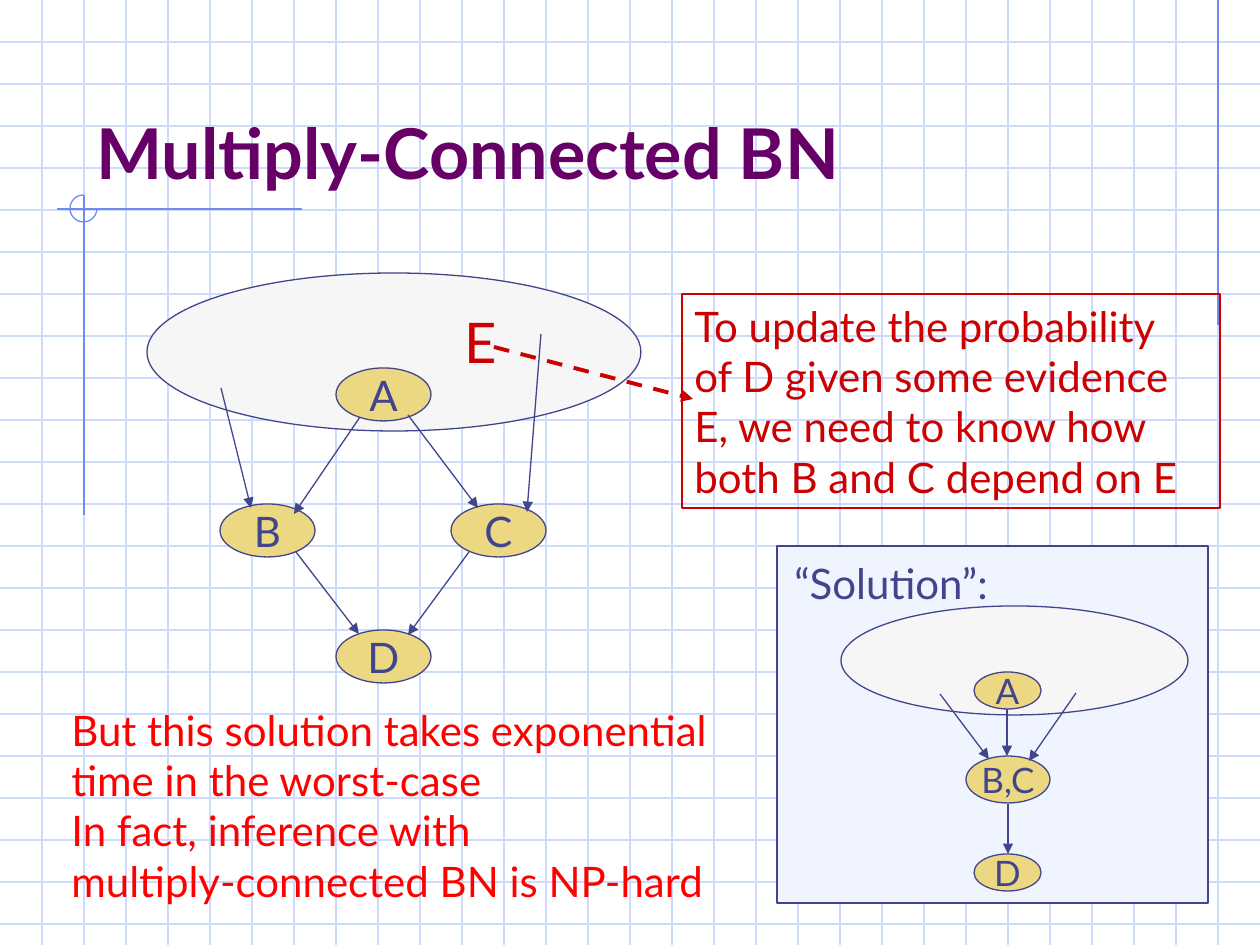
from lxml import etree
from pptx import Presentation
from pptx.dml.color import RGBColor
from pptx.enum.dml import MSO_LINE
from pptx.enum.shapes import MSO_CONNECTOR, MSO_SHAPE
from pptx.enum.text import MSO_ANCHOR, PP_ALIGN
from pptx.oxml.ns import qn
from pptx.util import Emu, Pt

RECT, OVAL, ARC = MSO_SHAPE.RECTANGLE, MSO_SHAPE.OVAL, MSO_SHAPE.ARC
STRAIGHT, DASH = MSO_CONNECTOR.STRAIGHT, MSO_LINE.DASH
TOP, MIDDLE, BOTTOM = MSO_ANCHOR.TOP, MSO_ANCHOR.MIDDLE, MSO_ANCHOR.BOTTOM
LEFT, CENTER = PP_ALIGN.LEFT, PP_ALIGN.CENTER

PX = 914400 / 126
WIDTH, HEIGHT, CELL = 1260, 945, 42
INK, GRID, ACCENT = "40458C", "CFDBFD", "6F89F7"
RED, BRIGHT_RED, PURPLE = "CC0000", "FF0000", "660066"
NODE, CLOUD, PANEL = "ECD882", "F6F6F6", "F0F4FE"

prs = Presentation()
prs.slide_width, prs.slide_height = Emu(round(WIDTH * PX)), Emu(round(HEIGHT * PX))
slide = prs.slides.add_slide(prs.slide_layouts[6])


def add_box(box, preset=None, fill=None, line=None, lines=(), size=24, color=INK,
            bold=False, align=LEFT, anchor=TOP, inset=True):
    """Add a preset shape, or a text box if no preset is given; box is in px."""
    place = [Emu(round(v * PX)) for v in box]
    if preset is None:
        shape = slide.shapes.add_textbox(*place)
    else:
        shape = slide.shapes.add_shape(preset, *place)
        shape.shadow.inherit = False
        shape.fill.background()
        if fill:
            shape.fill.solid()
            shape.fill.fore_color.rgb = RGBColor.from_string(fill)
        shape.line.color.rgb = RGBColor.from_string(line)
        shape.line.width = Pt(0.75)
    frame = shape.text_frame
    frame_format = {"word_wrap": inset, "vertical_anchor": anchor}
    if not inset:
        frame_format.update(margin_left=0, margin_right=0, margin_top=0, margin_bottom=0)
    for key, value in frame_format.items():
        setattr(frame, key, value)
    font_format = {"name": "Lato", "size": Pt(size), "bold": bold}
    frame.text = "\n".join(lines)
    for paragraph in frame.paragraphs:
        paragraph.alignment = align
        for run in paragraph.runs:
            for key, value in font_format.items():
                setattr(run.font, key, value)
            run.font.color.rgb = RGBColor.from_string(color)
    return shape


def add_line(ends, color=INK, width=0.75, arrow=False, dash=None):
    """Add a straight line; ends is x1, y1, x2, y2 in px."""
    line = slide.shapes.add_connector(STRAIGHT, *[Emu(round(v * PX)) for v in ends])
    line.line.color.rgb = RGBColor.from_string(color)
    line.line.width = Pt(width)
    if dash:
        line.line.dash_style = dash
    if arrow:
        etree.SubElement(line.line._get_or_add_ln(), qn("a:tailEnd"), type="triangle")
    etree.SubElement(line._element.spPr, qn("a:effectLst"))


# Background grid
for y in range(CELL, HEIGHT, CELL):
    add_line((0, y, WIDTH, y), GRID)
for x in range(CELL, WIDTH, CELL):
    add_line((x, 0, x, HEIGHT), GRID)

# Corner ornament
for ends in [(1218, 0, 1218, 325), (302, 209, 57, 209), (84, 195, 84, 515)]:
    add_line(ends, ACCENT)
corner_arc = add_box((70, 195, 27, 27), ARC, line=ACCENT)
corner_arc.adjustments[0] = 0
corner_arc.adjustments[1] = 162  # 270 degrees

# Title
add_box((84, 42, 1071, 158), lines=["Multiply-Connected BN"], size=40,
        color=PURPLE, bold=True, anchor=BOTTOM)

# Multiply-connected network
add_box((147, 273, 494, 158), OVAL, CLOUD, INK)
for label, x, y in [("A", 336, 368), ("C", 451, 504), ("D", 336, 630), ("B", 220, 504)]:
    add_box((x, y, 95, 53), OVAL, NODE, INK, [label],
            align=CENTER, anchor=MIDDLE, inset=False)
for ends in [(360, 417, 294, 514), (408, 415, 478, 508), (296, 552, 359, 634),
             (469, 552, 408, 635), (221, 388, 251, 508), (541, 334, 527, 512)]:
    add_line(ends, arrow=True)

# Evidence note
add_box((682, 294, 538, 214), RECT, line=RED, color=RED,
        lines=["To update the probability", "of D given some evidence",
               "E, we need to know how", "both B and C depend on E"])
add_box((452, 301, 55, 81), lines=["E"], size=32, color=RED)
add_line((494, 347, 693, 399), RED, 2.25, arrow=True, dash=DASH)

# Solution with B and C merged
add_box((777, 546, 431, 357), RECT, PANEL, INK)
add_box((782, 551, 229, 63), lines=["“Solution”:"])
add_box((841, 606, 347, 109), OVAL, CLOUD, INK)
for label, *box in [("A", 974, 672, 67, 37), ("B,C", 966, 756, 84, 47),
                    ("D", 974, 854, 67, 37)]:
    add_box(box, OVAL, NODE, INK, [label], size=20,
            align=CENTER, anchor=MIDDLE, inset=False)
for ends in [(1076, 693, 1029, 761), (940, 694, 989, 759),
             (1007, 709, 1007, 756), (1008, 804, 1008, 854)]:
    add_line(ends, arrow=True)

# Complexity remark
add_box((59, 698, 707, 214), color=BRIGHT_RED,
        lines=["But this solution takes exponential", "time in the worst-case",
               "In fact, inference with", "multiply-connected BN is NP-hard"])

prs.save("out.pptx")
